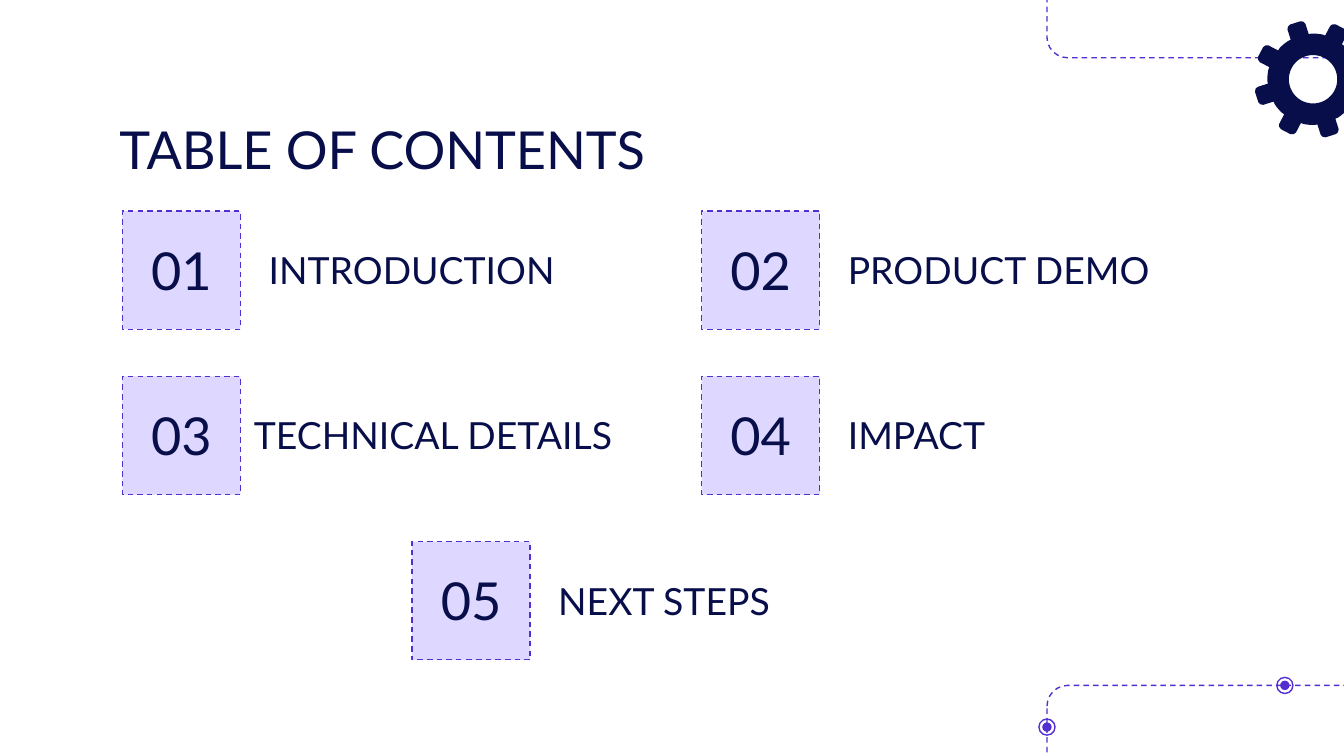
import math
from dataclasses import dataclass

import pptx
import pptx.dml.color
import pptx.enum.dml
import pptx.enum.shapes
import pptx.enum.text
import pptx.util

Inches = pptx.util.Inches
Pt = pptx.util.Pt
MSO_SHAPE = pptx.enum.shapes.MSO_SHAPE
MSO_ANCHOR = pptx.enum.text.MSO_ANCHOR
PP_ALIGN = pptx.enum.text.PP_ALIGN


@dataclass(frozen=True)
class Theme:
    font: str = "Lato"
    navy: str = "070E49"
    violet: str = "542FD0"
    lilac: str = "DED7FF"
    heading_size: int = 28
    topic_size: int = 20
    line_width: float = 0.75


THEME = Theme()

SLIDE_WIDTH = 10
SLIDE_HEIGHT = SLIDE_WIDTH * 9 / 16
TILE = 0.88
LABEL_GAP = 0.11
ROW_TOP, ROW_STEP = 1.57, 1.23
LEFT_COLUMN, RIGHT_COLUMN = 0.91, 5.22
MIDDLE_COLUMN = (LEFT_COLUMN + RIGHT_COLUMN) / 2

# topic, tile left, row, gap between tile and label
TOPICS = [
    ("INTRODUCTION", LEFT_COLUMN, 0, LABEL_GAP),
    ("PRODUCT DEMO", RIGHT_COLUMN, 0, LABEL_GAP),
    ("TECHNICAL DETAILS", LEFT_COLUMN, 1, 0),
    ("IMPACT", RIGHT_COLUMN, 1, LABEL_GAP),
    ("NEXT STEPS", MIDDLE_COLUMN, 2, LABEL_GAP),
]


def rgb(value):
    return pptx.dml.color.RGBColor.from_string(value)


def paint(sp, fill=None, line=None, dashed=False):
    """Set fill and line; None leaves that part empty."""
    sp.shadow.inherit = False
    if fill:
        sp.fill.solid()
        sp.fill.fore_color.rgb = rgb(fill)
    else:
        sp.fill.background()
    if line:
        sp.line.color.rgb = rgb(line)
        sp.line.width = Pt(THEME.line_width)
        if dashed:
            sp.line.dash_style = pptx.enum.dml.MSO_LINE.DASH
    else:
        sp.line.fill.background()


def set_text(sp, text, size, align=PP_ALIGN.LEFT, anchor=MSO_ANCHOR.MIDDLE):
    tf = sp.text_frame
    tf.word_wrap = True
    tf.vertical_anchor = anchor
    tf.margin_left = tf.margin_right = tf.margin_bottom = Inches(0.1)
    tf.margin_top = Inches(0.09 if anchor == MSO_ANCHOR.MIDDLE else 0.1)
    tf.text = text
    p = tf.paragraphs[0]
    p.alignment = align
    font = p.runs[0].font
    font.name = THEME.font
    font.size = Pt(size)
    font.color.rgb = rgb(THEME.navy)


def add_shape(s, kind, left, top, width, height):
    return s.shapes.add_shape(
        kind, Inches(left), Inches(top), Inches(width), Inches(height))


def add_textbox(s, left, top, width, height):
    return s.shapes.add_textbox(
        Inches(left), Inches(top), Inches(width), Inches(height))


def add_corner_frame(s, top):
    """Add a dashed frame that runs off the right edge of the slide."""
    sp = add_shape(s, MSO_SHAPE.ROUNDED_RECTANGLE, 7.79, top, 2.62, 0.91)
    sp.adjustments[0] = 0.17
    paint(sp, line=THEME.violet, dashed=True)


def add_node(s, x, y):
    """Add a dot within a ring, centred on (x, y)."""
    for size, fill, line in ((0.07, THEME.violet, None), (0.12, None, THEME.violet)):
        sp = add_shape(s, MSO_SHAPE.OVAL, x - size / 2, y - size / 2, size, size)
        paint(sp, fill, line)


def add_gear(s, x, y):
    teeth, first_angle = 8, -17.5
    root, hole, half_tooth = 0.34, 0.18, 0.07
    half_profile = [(0.33, half_tooth), (0.41, half_tooth), (0.43, 0.06), (0.44, 0.04)]
    profile = [(r, -t) for r, t in half_profile] + half_profile[::-1]
    pitch = 2 * math.pi / teeth
    tooth_angle = math.asin(half_tooth / root)

    def place(radial, tangent, angle):
        return (Inches(x + radial * math.cos(angle) - tangent * math.sin(angle)),
                Inches(y + radial * math.sin(angle) + tangent * math.cos(angle)))

    outline = []
    for i in range(teeth):
        angle = math.radians(first_angle) + i * pitch
        outline += [place(r, t, angle) for r, t in profile]
        valley = pitch - 2 * tooth_angle
        outline += [place(root, 0, angle + tooth_angle + valley * k / 6)
                    for k in range(1, 6)]
    bore = [place(hole, 0, -math.tau * k / 60) for k in range(60)]

    builder = s.shapes.build_freeform(*outline[0], scale=1.0)
    builder.add_line_segments(outline[1:], close=True)
    builder.move_to(*bore[0])
    builder.add_line_segments(bore[1:], close=True)
    paint(builder.convert_to_shape(), THEME.navy)


def add_topic(s, number, topic, left, row, gap):
    top = ROW_TOP + row * ROW_STEP
    label = add_textbox(s, left + TILE + gap, top, 2.89, TILE)
    set_text(label, topic, THEME.topic_size)
    tile = add_shape(s, MSO_SHAPE.RECTANGLE, left, top, TILE, TILE)
    paint(tile, THEME.lilac, THEME.violet, dashed=True)
    set_text(tile, f"{number:02d}", THEME.heading_size, PP_ALIGN.CENTER)


def main():
    prs = pptx.Presentation()
    prs.slide_width = Inches(SLIDE_WIDTH)
    prs.slide_height = Inches(SLIDE_HEIGHT)
    s = prs.slides.add_slide(prs.slide_layouts[6])

    add_corner_frame(s, -0.48)
    add_corner_frame(s, 5.1)
    add_node(s, 9.56, 5.1)
    add_node(s, 7.79, 5.41)
    add_gear(s, 9.77, 0.59)

    title = add_textbox(s, 0.79, 0.77, 8.43, 0.65)
    set_text(title, "TABLE OF CONTENTS", THEME.heading_size, anchor=MSO_ANCHOR.TOP)
    for number, topic in enumerate(TOPICS, start=1):
        add_topic(s, number, *topic)

    prs.save("out.pptx")


if __name__ == "__main__":
    main()
